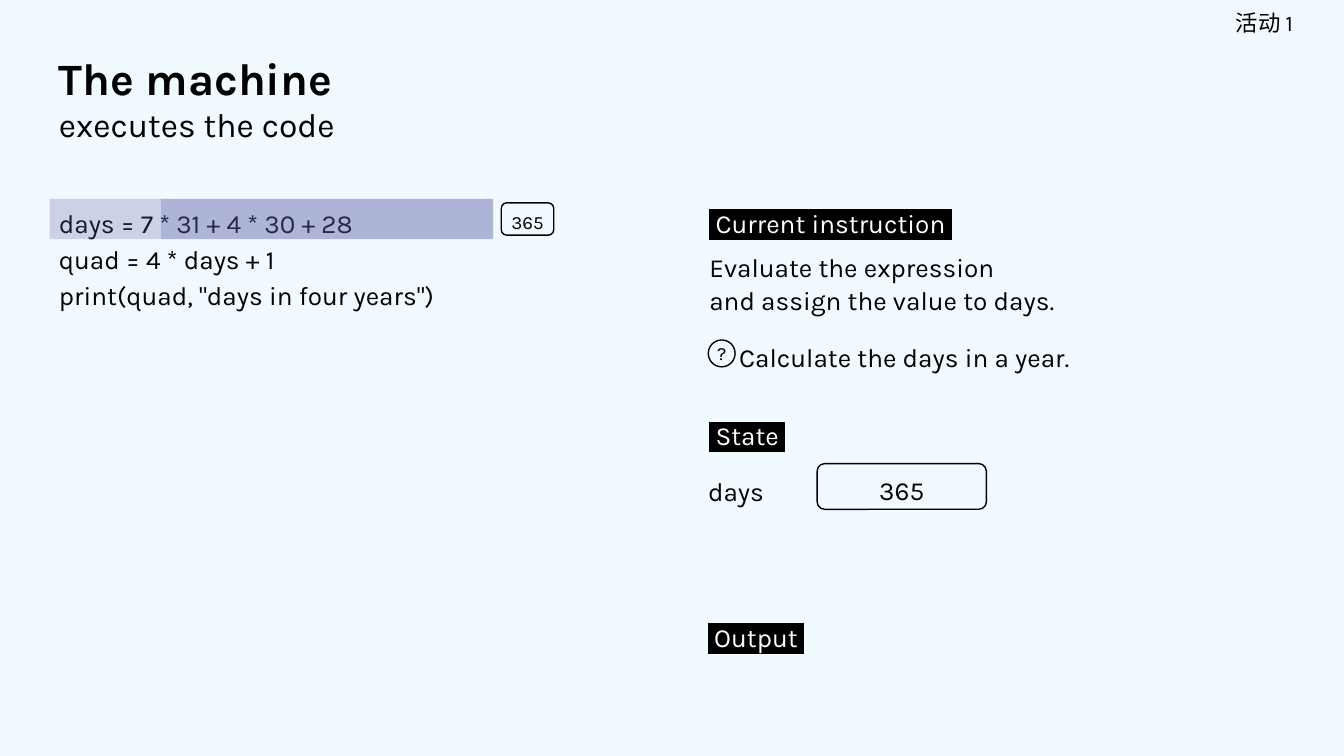
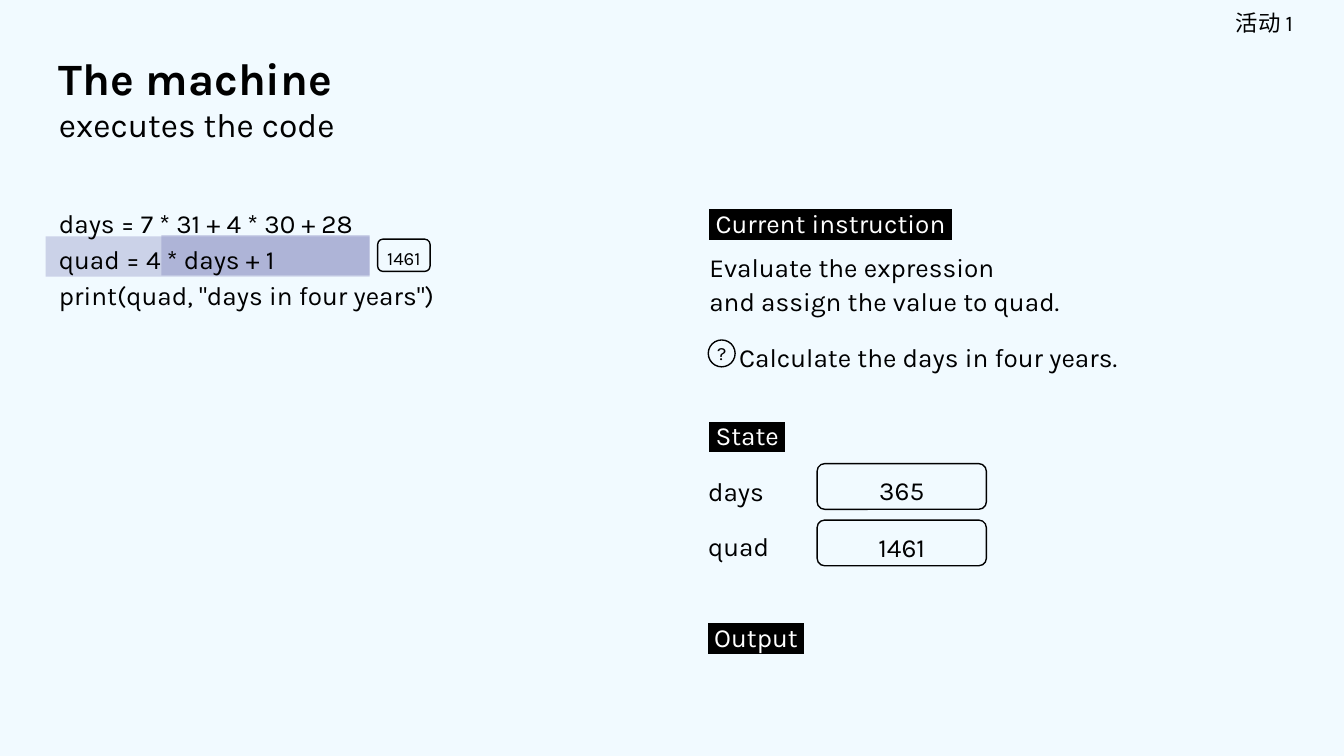
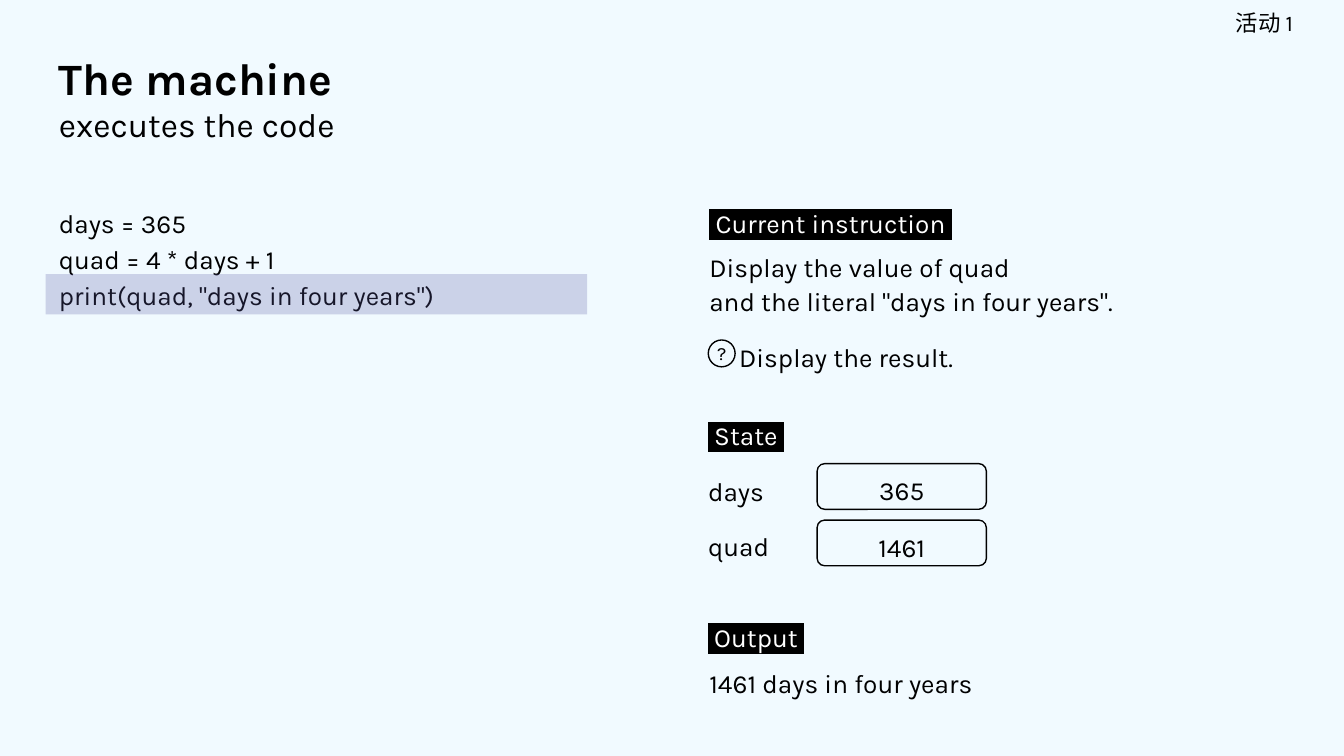
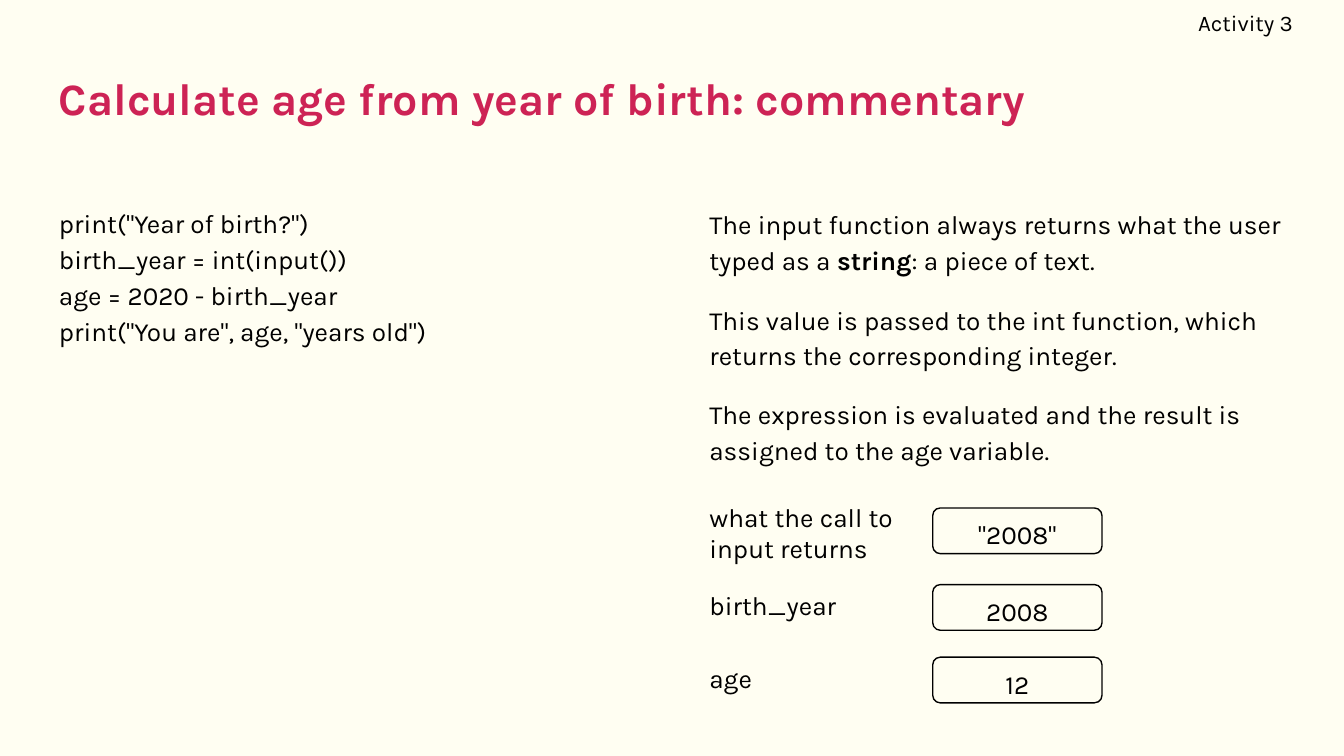
"""Build four slides that trace how short programs run."""
from lxml.etree import SubElement as Sub
from pptx import Presentation
from pptx.dml.color import RGBColor as RGB
from pptx.enum.shapes import MSO_SHAPE as Kind
from pptx.enum.text import MSO_ANCHOR as Anchor, PP_ALIGN as Align
from pptx.oxml.ns import qn
from pptx.util import Inches, Pt

HUES = {"ink": "000000", "white": "FFFFFF", "band": "5B5BA5",
        "blue": "F1FAFF", "cream": "FFFEF2", "red": "CD2355"}
FONT = "Karla"
EVEN = (0.1, 0.1, 0.1, 0.1)
SIDE = (0.1, 0.1, 0.06, 0.1)
CELL = (0.1, 0.02, 0.1, 0)
MID = Anchor.MIDDLE


def hue(name):
    return RGB.from_string(HUES[name])


def block(shapes, at, lines, kind=None, size=14, ink="ink", bold=False, mark=False,
          gap=None, align=Align.LEFT, anchor=Anchor.TOP, pad=EVEN):
    """Add a text box, or an outlined shape of the given kind, run by run."""
    spot = [Inches(n) for n in at]
    if kind is None:
        item = shapes.add_textbox(*spot)
    else:
        item = shapes.add_shape(kind, *spot)
        item.shadow.inherit = False
        item.fill.background()
        item.line.color.rgb = hue("ink")
        item.line.width = Pt(0.75)
        if kind == Kind.ROUNDED_RECTANGLE:
            item.adjustments[0] = 0.167
    frame = item.text_frame
    frame.word_wrap = True
    frame.vertical_anchor = anchor
    frame.margin_left, frame.margin_top, frame.margin_right, frame.margin_bottom = map(Inches, pad)
    for i, line in enumerate(lines):
        para = frame.paragraphs[0] if i == 0 else frame.add_paragraph()
        para.alignment = align
        para.line_spacing = gap
        for words, big, heavy in [(line, size, bold)] if isinstance(line, str) else line:
            run = para.add_run()
            run.text = words
            run.font.size = Pt(big)
            run.font.bold = heavy
            run.font.color.rgb = hue(ink)
            run.font.name = FONT
            if mark:
                props = run.font._element
                glow = Sub(props, qn("a:highlight"))
                Sub(glow, qn("a:srgbClr"), val=HUES["ink"])
                props.find(qn("a:solidFill")).addnext(glow)
    return item


deck = Presentation()
deck.slide_width = Inches(10)
deck.slide_height = deck.slide_width * 9 // 16

quad = "quad = 4 * days + 1"
show = 'print(quad, "days in four years")'
full = ["days = 7 * 31 + 4 * 30 + 28", quad, show]
head = [[("The machine", 24, True)], [("executes the code", 18, False)]]
days, four = ("days", "365"), ("quad", "1461")
steps = [
    dict(code=full, bands=[(0.37, 1.48, 3.3), (1.2, 1.48, 2.47)], chip=(3.73, 1.51, "365"),
         task=["Evaluate the expression", "and assign the value to days."], next=1.98,
         goal="Calculate the days in a year.", state=[days]),
    dict(code=full, bands=[(0.34, 1.76, 2.41), (1.2, 1.75, 1.55)], chip=(2.81, 1.78, "1461"),
         task=["Evaluate the expression", "and assign the value to quad."],
         goal="Calculate the days in four years.", state=[days, four], under=True),
    dict(code=["days = 365", quad, show], bands=[(0.34, 2.04, 4.03)],
         task=["Display the value of quad", 'and the literal "days in four years".'],
         goal="Display the result.", state=[days, four], side=5.17,
         out="1461 days in four years"),
    dict(code=['print("Year of birth?")', "birth_year = int(input())",
               "age = 2020 - birth_year", 'print("You are", age, "years old")'],
         back="cream", tag="Activity 3", ink="red", wide=4.47,
         head=[[("Calculate age from year of birth: commentary", 24, True)]]),
]

for step in steps:
    slide = deck.slides.add_slide(deck.slide_layouts[6])
    slide.background.fill.solid()
    slide.background.fill.fore_color.rgb = hue(step.get("back", "blue"))
    shapes = slide.shapes
    order = ("bands", "code") if step.get("under") else ("code", "bands")
    for part in order:
        if part == "code":
            code = step["code"]
            block(shapes, (0.34, 1.41, step.get("wide", 4.84), 0.22 + 0.26 * len(code)),
                  code, gap=1.15)
            continue
        for left, top, width in step.get("bands", []):
            band = block(shapes, (left, top, width, 0.3), [], Kind.RECTANGLE)
            band.line.fill.background()
            band.fill.solid()
            band.fill.fore_color.rgb = hue("band")
            tint = band._element.spPr.find(qn("a:solidFill"))[0]
            Sub(tint, qn("a:alpha"), val="25000")
    block(shapes, (7.48, 0, 2.14, 0.34), [step.get("tag", "活动 1")], size=12,
          align=Align.RIGHT, anchor=MID, pad=(0.1, 0.1, 0, 0.1))
    block(shapes, (0.34, 0.34, 9.32, 0.77), step.get("head", head),
          ink=step.get("ink", "ink"), anchor=MID)

    if "goal" not in step:
        continue
    for left, top, wide, name in [(5.18, 1.41, 4.47, "Current instruction"),
                                  (step.get("side", 5.18), 2.99, 4.47, "State"),
                                  (5.17, 4.49, 3.9, "Output")]:
        block(shapes, (left, top, wide, 0.4), [f" {name} "], ink="white", mark=True,
              gap=1.14, pad=SIDE)
    for top, line in zip((1.74, step.get("next", 1.99)), step["task"]):
        block(shapes, (5.18, top, 4.47, 0.4), [line], gap=1.14, pad=SIDE)
    group = shapes.add_group_shape().shapes
    block(group, (5.17, 2.41, 3.9, 0.4), [step["goal"]], gap=1.14, pad=(0.33, 0.1, 0.06, 0.1))
    block(group, (5.27, 2.53, 0.2, 0.2), ["?"], Kind.OVAL, size=10,
          align=Align.CENTER, anchor=MID, pad=(0, 0, 0, 0))
    for i, (name, value) in enumerate(step["state"]):
        group = shapes.add_group_shape().shapes
        block(group, (5.17, 3.4 + 0.41 * i, 1.5, 0.4), [name], gap=1.15)
        block(group, (6.08, 3.45 + 0.42 * i, 1.26, 0.34), [value], Kind.ROUNDED_RECTANGLE,
              gap=1.15, align=Align.CENTER, anchor=MID, pad=CELL)
    if "chip" in step:
        left, top, value = step["chip"]
        block(shapes, (left, top, 0.39, 0.24), [value], Kind.ROUNDED_RECTANGLE, size=10,
              gap=1.15, align=Align.CENTER, anchor=MID, pad=(0, 0.02, 0, 0))
    if "out" in step:
        block(shapes, (5.18, 4.83, 4.47, 0.4), [step["out"]], gap=1.14, pad=SIDE)

notes = [
    [("The input function always returns what the user typed as a ", 14, False),
     ("string", 14, True), (": a piece of text.", 14, False)],
    "This value is passed to the int function, which returns the corresponding integer.",
    "The expression is evaluated and the result is assigned to the age variable.",
]
for top, note in zip((1.42, 2.13, 2.83), notes):
    block(shapes, (5.18, top, 4.47, 0.7), [note], gap=1.14, pad=SIDE)

rows = [("what the call to input returns", 3.63, 0.64, Anchor.TOP, '"2008"', 3.78),
        ("birth_year", 4.18, 0.64, MID, "2008", 4.35),
        ("age", 4.83, 0.34, Anchor.TOP, "12", 4.89)]
for name, top, tall, anchor, value, low in rows:
    group = shapes.add_group_shape().shapes
    block(group, (5.18, top, 1.6, tall), [name], anchor=anchor)
    block(group, (6.94, low, 1.26, 0.34), [value], Kind.ROUNDED_RECTANGLE,
          gap=1.15, align=Align.CENTER, anchor=MID, pad=CELL)

deck.save("out.pptx")
